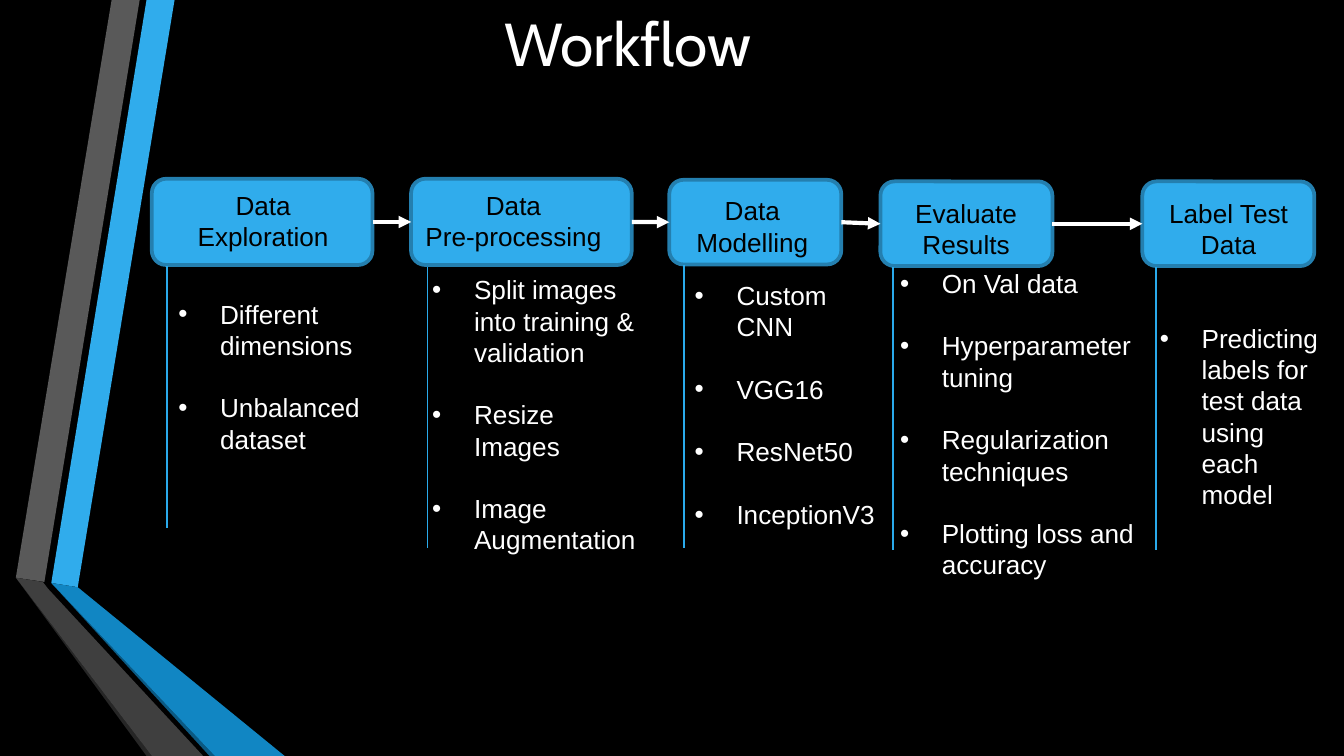
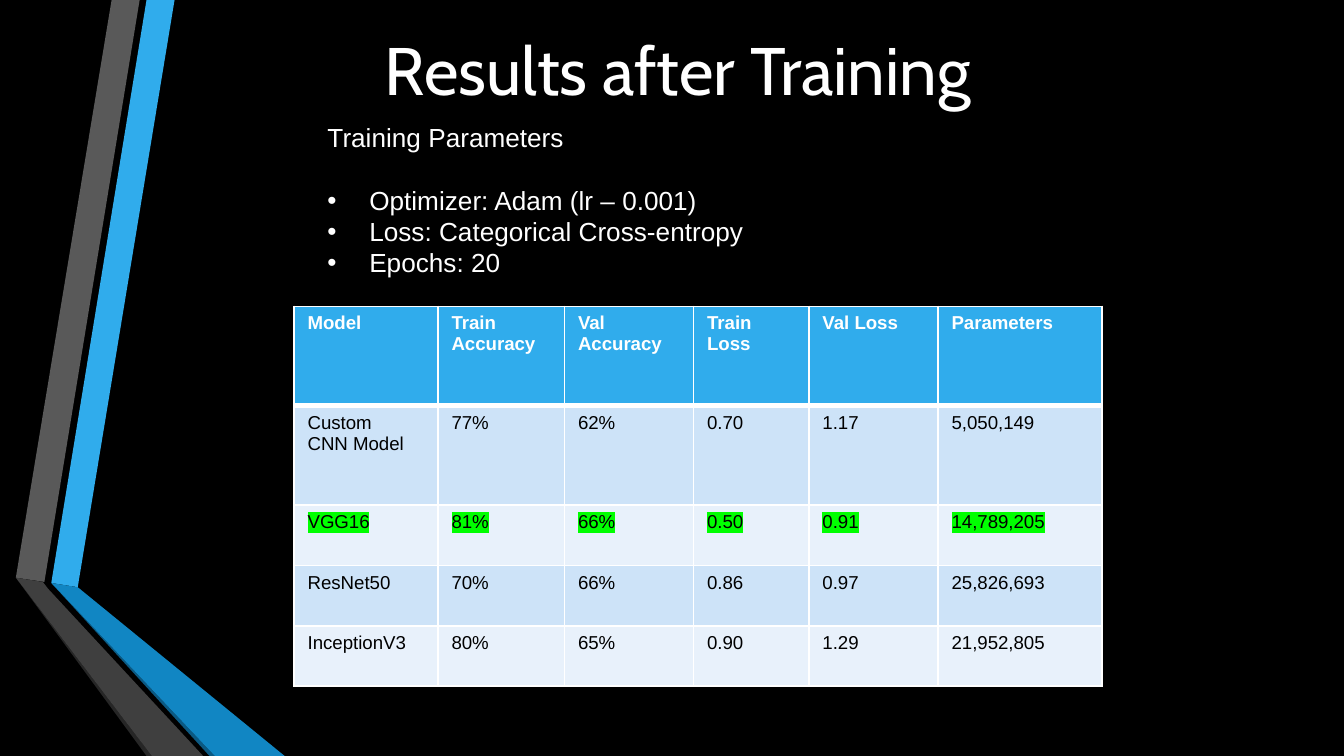
from lxml import etree
from pptx import Presentation
from pptx.dml.color import RGBColor
from pptx.enum.shapes import MSO_CONNECTOR, MSO_SHAPE
from pptx.enum.text import PP_ALIGN
from pptx.oxml.ns import qn
from pptx.util import Cm, Pt

STRAIGHT = MSO_CONNECTOR.STRAIGHT
ROUNDED = MSO_SHAPE.ROUNDED_RECTANGLE
CENTER, LEFT = PP_ALIGN.CENTER, PP_ALIGN.LEFT

# Colours and text styles
BLACK, WHITE, SKY = "000000", "FFFFFF", "30ACEC"
BOX_EDGE, GUIDE, HIGHLIGHT = "247FAF", "2AAAEB", "00FF00"
ROW_FILLS = ["CDE3F8", "E8F1FB"]
LINE_HEIGHT = Pt(16.75)
BODY = {"name": "Arial", "size": Pt(14)}
HEADER = {"name": "Arial", "size": Pt(10), "bold": True}
CELL = {"name": "Arial", "size": Pt(10), "bold": False}
LEFT_LINES = {"alignment": LEFT, "line_spacing": LINE_HEIGHT}
CENTERED_LINES = {"alignment": CENTER, "line_spacing": LINE_HEIGHT}

# Ribbon on the left edge, in hundredths of a centimetre
RIBBON = [
    (SKY, [(97, 1102), (147, 1110), (330, 0), (277, 0)]),
    ("595959", [(264, 0), (211, 0), (30, 1092), (84, 1100)]),
    ("262626", [(30, 1092), (277, 1429), (287, 1429)]),
    ("0B5982", [(97, 1102), (396, 1429), (406, 1429)]),
    ("1186C3", [(97, 1102), (406, 1429), (538, 1429), (147, 1110)]),
    ("3F3F3F", [(384, 1429), (91, 1113), (81, 1100), (30, 1092), (287, 1429)]),
]

# Title, its place and its size
TITLES = [
    ("Workflow", (2.08, -0.13, 19.56, 1.88), 32.4),
    ("Results after Training", (2.13, 0.28, 21.36, 4.22), 36),
]


def paint(fill, colour):
    fill.solid()
    fill.fore_color.rgb = RGBColor.from_string(colour)


def write(frame, lines, colour, font, layout):
    """Write one paragraph per line; a leading bullet sign makes a list item."""
    frame.word_wrap = True
    for number, line in enumerate(lines):
        para = frame.paragraphs[0] if number == 0 else frame.add_paragraph()
        for name, value in layout.items():
            setattr(para, name, value)
        span = para.add_run()
        span.text = line.removeprefix("• ")
        for name, value in font.items():
            setattr(span.font, name, value)
        paint(span.font.fill, colour)
        if line.startswith("• "):
            properties = para._p.get_or_add_pPr()
            properties.set("marL", str(Cm(0.79)))
            properties.set("indent", str(-Cm(0.79)))
            bullet_colour = etree.SubElement(properties, qn("a:buClr"))
            etree.SubElement(bullet_colour, qn("a:srgbClr"), val=colour)
            etree.SubElement(properties, qn("a:buFont"), typeface="Arial")
            etree.SubElement(properties, qn("a:buChar"), char="•")


deck = Presentation()
deck.slide_width, deck.slide_height = Cm(25.4), Cm(14.29)

# Background, ribbon and title of every slide
pages = []
for title, place, size in TITLES:
    page = deck.slides.add_slide(deck.slide_layouts[6])
    paint(page.background.fill, BLACK)
    for colour, points in RIBBON:
        outline = page.shapes.build_freeform(*points[0], scale=Cm(0.01))
        outline.add_line_segments(points[1:])
        band = outline.convert_to_shape()
        paint(band.fill, colour)
        band.line.fill.background()
        band.shadow.inherit = False
    frame = page.shapes.add_textbox(*map(Cm, place)).text_frame
    for side in ("left", "top", "right", "bottom"):
        setattr(frame, f"margin_{side}", Cm(0.25))
    write(frame, [title], WHITE, {"name": "Cabin", "size": Pt(size)}, {"alignment": CENTER})
    pages.append(page)
workflow, results = pages

# Workflow steps: box, label with its place, guide (x, top, bottom), list with its place
STEPS = [
    ((2.87, 3.38, 4.17, 1.63), ["Data Exploration"], (2.97, 3.45, 4.01, 1.45),
     (3.15, 5.03, 9.98),
     ["• Different dimensions", "• Unbalanced dataset"], (3.12, 5.51, 4.17, 5.05)),
    ((7.77, 3.38, 4.17, 1.63), ["Data", "Pre-processing"], (7.7, 3.45, 4.01, 1.45),
     (8.08, 5.05, 10.36),
     ["• Split images into training & validation", "• Resize Images",
      "• Image Augmentation"], (7.92, 5.05, 4.47, 7.44)),
    ((12.65, 3.4, 3.25, 1.6), ["Data", "Modelling"], (12.67, 3.56, 3.1, 1.45),
     (12.93, 5, 10.36),
     ["• Custom CNN", "• VGG16", "• ResNet50", "• InceptionV3"],
     (12.88, 5.16, 4.17, 5.64)),
    ((16.64, 3.43, 3.25, 1.6), ["Evaluate Results"], (16.71, 3.61, 3.1, 1.45),
     (16.87, 5.05, 10.39),
     ["• On Val data", "• Hyperparameter tuning", "• Regularization techniques",
      "• Plotting loss and accuracy"], (16.76, 4.93, 5.36, 6.25)),
    ((21.59, 3.43, 3.25, 1.6), ["Label Test Data"], (21.67, 3.61, 3.1, 1.45),
     (21.84, 5.05, 10.39),
     ["• Predicting labels for test data using each model"],
     (21.67, 5.97, 3.63, 3.84)),
]
boxes, connectors = [], []
for box_place, label, label_place, guide, items, items_place in STEPS:
    box = workflow.shapes.add_shape(ROUNDED, *map(Cm, box_place))
    box.shadow.inherit = False
    paint(box.fill, SKY)
    paint(box.line.fill, BOX_EDGE)
    box.line.width = Pt(2)
    boxes.append(box)
    frame = workflow.shapes.add_textbox(*map(Cm, label_place)).text_frame
    write(frame, label, BLACK, BODY, CENTERED_LINES)

    x, top, bottom = map(Cm, guide)
    connectors.append((workflow.shapes.add_connector(STRAIGHT, x, top, x, bottom), GUIDE, 1))
    frame = workflow.shapes.add_textbox(*map(Cm, items_place)).text_frame
    write(frame, items, WHITE, BODY, LEFT_LINES)
    for para in frame.paragraphs[1:]:
        para.space_before = LINE_HEIGHT

# Arrows from each step to the next
for box, following in zip(boxes, boxes[1:]):
    arrow = workflow.shapes.add_connector(STRAIGHT, 0, 0, 0, 0)
    arrow.begin_connect(box, 3)
    arrow.end_connect(following, 1)
    connectors.append((arrow, WHITE, 2.25))

for connector, colour, width in connectors:
    paint(connector.line.fill, colour)
    connector.line.width = Pt(width)
    if colour == WHITE:
        etree.SubElement(connector.line._get_or_add_ln(), qn("a:tailEnd"), type="triangle")
    etree.SubElement(connector._element.spPr, qn("a:effectLst"))

# Table of results
ROWS = [
    ["Model", "Train\nAccuracy", "Val Accuracy", "Train Loss", "Val Loss", "Parameters"],
    ["Custom\nCNN Model", "77%", "62%", "0.70", "1.17", "5,050,149"],
    ["VGG16", "81%", "66%", "0.50", "0.91", "14,789,205"],
    ["ResNet50", "70%", "66%", "0.86", "0.97", "25,826,693"],
    ["InceptionV3", "80%", "65%", "0.90", "1.29", "21,952,805"],
]
WIDTHS = [2.72, 2.39, 2.44, 2.18, 2.44, 3.1]
HEIGHTS = [1.88, 1.88, 1.14, 1.14, 1.14]
BEST_ROW = 2
table = results.shapes.add_table(len(ROWS), len(WIDTHS), Cm(5.56), Cm(5.79),
                                 Cm(sum(WIDTHS)), Cm(sum(HEIGHTS))).table
for column, width in zip(table.columns, WIDTHS):
    column.width = Cm(width)
for row, height in zip(table.rows, HEIGHTS):
    row.height = Cm(height)
for r, values in enumerate(ROWS):
    for c, value in enumerate(values):
        cell = table.cell(r, c)
        write(cell.text_frame, value.split("\n"), BLACK if r else WHITE,
              CELL if r else HEADER, {"alignment": LEFT})
        paint(cell.fill, ROW_FILLS[(r - 1) % 2] if r else SKY)

        # Borders, thicker between header and body
        properties = cell._tc.get_or_add_tcPr()
        for position, side in enumerate("LRTB"):
            thick = (r, side) in [(0, "B"), (1, "T")]
            border = etree.Element(qn(f"a:ln{side}"), w=str(Pt(3 if thick else 1)))
            solid = etree.SubElement(border, qn("a:solidFill"))
            etree.SubElement(solid, qn("a:srgbClr"), val=WHITE)
            properties.insert(position, border)

        if r == BEST_ROW:
            span = cell.text_frame.paragraphs[0].runs[0]
            marker = etree.Element(qn("a:highlight"))
            etree.SubElement(marker, qn("a:srgbClr"), val=HIGHLIGHT)
            span._r.rPr.find(qn("a:solidFill")).addnext(marker)

# Training parameters above the table
frame = results.shapes.add_textbox(Cm(5.94), Cm(2.18), Cm(12.7), Cm(3.25)).text_frame
write(frame, ["Training Parameters", "• Optimizer: Adam (lr – 0.001)",
              "• Loss: Categorical Cross-entropy", "• Epochs: 20"], WHITE, BODY, LEFT_LINES)
frame.paragraphs[1].space_before = LINE_HEIGHT

deck.save("out.pptx")
